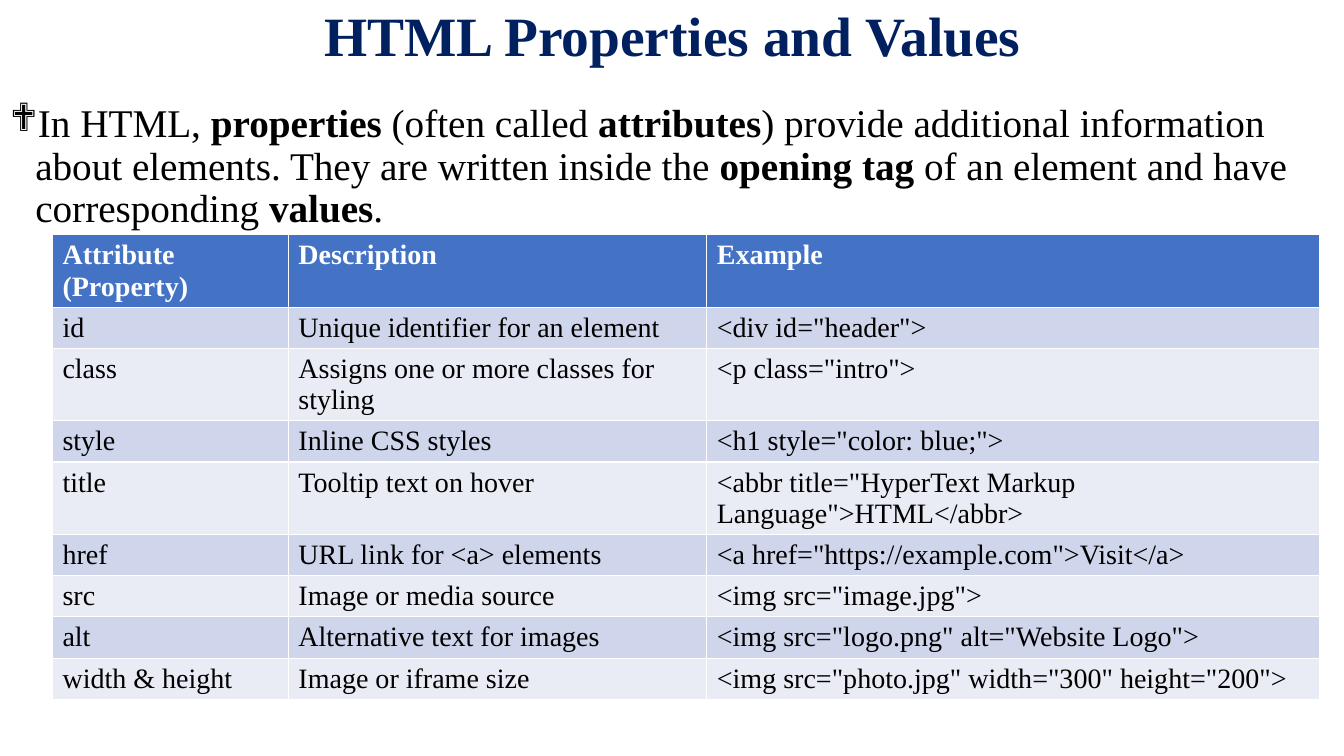
from lxml import etree
from pptx import Presentation
from pptx.dml.color import RGBColor as RGB
from pptx.enum.text import MSO_ANCHOR as ANCHOR, MSO_AUTO_SIZE as AUTOSIZE, PP_ALIGN as ALIGN
from pptx.oxml.ns import qn
from pptx.util import Inches, Pt

FONT = "Times New Roman"
COLORS = {
    "title": "002060",
    "text": "000000",
    "header_text": "FFFFFF",
    "header": "4472C4",
    "band_dark": "CFD5EA",
    "band_light": "E9EBF5",
}

INTRO = [  # (text, bold)
    ("In HTML, ", False),
    ("properties", True),
    (" (often called ", False),
    ("attributes", True),
    (") provide additional information about elements. They are written inside the ", False),
    ("opening tag", True),
    (" of an element and have corresponding ", False),
    ("values", True),
    (".", False),
]

COLUMN_WIDTHS = [2.34, 4.15, 6.08]
ROW_HEIGHT = 0.41
ATTRIBUTES = [
    ("Attribute (Property)", "Description", "Example"),
    ("id", "Unique identifier for an element", '<div id="header">'),
    ("class", "Assigns one or more classes for styling", '<p class="intro">'),
    ("style", "Inline CSS styles", '<h1 style="color: blue;">'),
    ("title", "Tooltip text on hover", '<abbr title="HyperText Markup Language">HTML</abbr>'),
    ("href", "URL link for <a> elements", '<a href="https://example.com">Visit</a>'),
    ("src", "Image or media source", '<img src="image.jpg">'),
    ("alt", "Alternative text for images", '<img src="logo.png" alt="Website Logo">'),
    ("width & height", "Image or iframe size", '<img src="photo.jpg" width="300" height="200">'),
]


def color(name):
    return RGB.from_string(COLORS[name])


def add_run(p, text, size, color_name, bold=False):
    r = p.add_run()
    r.text = text
    r.font.name = FONT
    r.font.size = Pt(size)
    r.font.bold = bold
    r.font.color.rgb = color(color_name)


def place(sp, left, top, width, height):
    sp.left, sp.top = Inches(left), Inches(top)
    sp.width, sp.height = Inches(width), Inches(height)
    sp.text_frame.word_wrap = True
    sp.text_frame.auto_size = AUTOSIZE.NONE


def fill_title(sp, left, top, width, height):
    place(sp, left, top, width, height)
    tf = sp.text_frame
    tf.vertical_anchor = ANCHOR.MIDDLE
    p = tf.paragraphs[0]
    p.alignment = ALIGN.CENTER
    p.line_spacing = 0.9
    add_run(p, "HTML Properties and Values", 39.6, "title", bold=True)


def fill_intro(sp, left, top, width, height):
    place(sp, left, top, width, height)
    tf = sp.text_frame
    tf.vertical_anchor = ANCHOR.TOP
    p = tf.paragraphs[0]
    p.alignment = ALIGN.LEFT
    p.line_spacing = 0.9
    p.space_before = Pt(0)

    # Hanging diamond bullet
    pPr = p._p.get_or_add_pPr()
    pPr.set("marL", str(Inches(0.25)))
    pPr.set("indent", str(Inches(-0.25)))
    etree.SubElement(pPr, qn("a:buFont")).set("typeface", "Wingdings")
    etree.SubElement(pPr, qn("a:buChar")).set("char", "❖")

    for text, bold in INTRO:
        add_run(p, text, 28, "text", bold)


def add_attribute_table(slide, left, top, width):
    rows = len(ATTRIBUTES)
    table = slide.shapes.add_table(
        rows, len(COLUMN_WIDTHS), Inches(left), Inches(top),
        Inches(width), Inches(ROW_HEIGHT * rows)).table
    for column, share in zip(table.columns, COLUMN_WIDTHS):
        column.width = Inches(width * share / sum(COLUMN_WIDTHS))

    # Header row, then alternating bands
    for i, texts in enumerate(ATTRIBUTES):
        header = i == 0
        band = "header" if header else ("band_light", "band_dark")[i % 2]
        table.rows[i].height = Inches(ROW_HEIGHT)
        for cell, text in zip(table.rows[i].cells, texts):
            cell.fill.solid()
            cell.fill.fore_color.rgb = color(band)
            add_run(cell.text_frame.paragraphs[0], text, 20,
                    "header_text" if header else "text", header)
    table.cell(0, 0).vertical_anchor = ANCHOR.MIDDLE


def main():
    prs = Presentation()
    prs.slide_width, prs.slide_height = Inches(13.33), Inches(7.5)
    slide = prs.slides.add_slide(prs.slide_layouts[1])
    fill_title(slide.shapes.title, 0.92, 0.02, 11.5, 0.72)
    fill_intro(slide.placeholders[1], 0, 0.98, 13.33, 4.76)
    add_attribute_table(slide, 0.52, 2.33, 12.57)
    prs.save("out.pptx")


if __name__ == "__main__":
    main()
